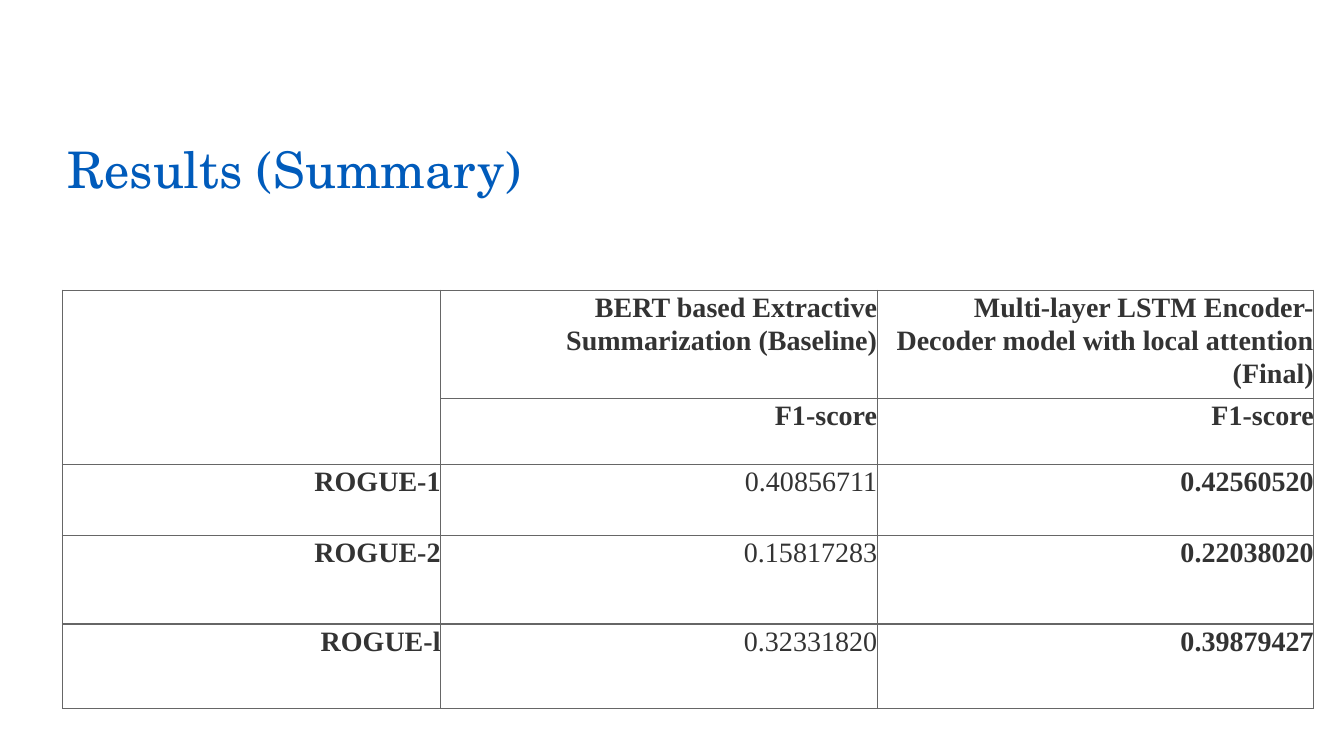
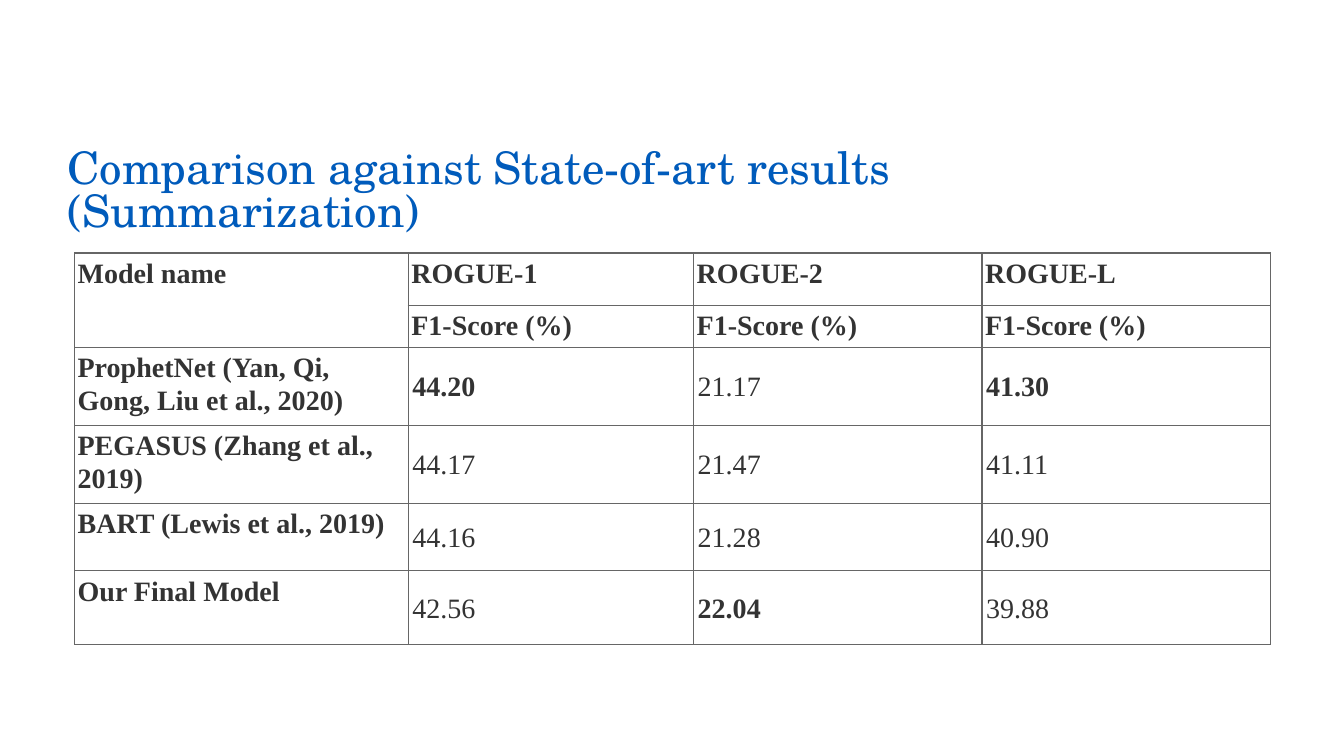
import pptx
import pptx.dml.color
import pptx.enum.text
import pptx.oxml
import pptx.oxml.ns
import pptx.util
from pptx.util import Inches

TITLE_BLUE = pptx.dml.color.RGBColor(0x00, 0x5B, 0xBB)
TEXT_GREY = pptx.dml.color.RGBColor(0x33, 0x33, 0x33)
BORDER_GREY = pptx.dml.color.RGBColor(0x66, 0x66, 0x66)
TITLE_FONT = "TeX Gyre Schola"
TABLE_FONT = "Times New Roman"
TITLE_BOX = (0.62, 1.44, 11.5, 0.78)
HEADER_ROWS = 2

ALIGN = pptx.enum.text.PP_ALIGN
ANCHOR = pptx.enum.text.MSO_ANCHOR

SUMMARY_ROWS = [
    ["", "BERT based Extractive Summarization (Baseline)",
     "Multi-layer LSTM Encoder-Decoder model with local attention (Final)"],
    ["", "F1-score", "F1-score"],
    ["ROGUE-1", "0.40856711", "0.42560520"],
    ["ROGUE-2", "0.15817283", "0.22038020"],
    ["ROGUE-l", "0.32331820", "0.39879427"],
]

COMPARISON_ROWS = [
    ["Model name", "ROGUE-1", "ROGUE-2", "ROGUE-L"],
    ["", "F1-Score (%)", "F1-Score (%)", "F1-Score (%)"],
    ["ProphetNet (Yan, Qi, Gong, Liu et al., 2020)", "44.20", "21.17", "41.30"],
    ["PEGASUS (Zhang et al., 2019)", "44.17", "21.47", "41.11"],
    ["BART (Lewis et al., 2019)", "44.16", "21.28", "40.90"],
    ["Our Final Model", "42.56", "22.04", "39.88"],
]


def add_run(paragraph, text, font_name, size, color, bold=False):
    run = paragraph.add_run()
    run.text = text
    run.font.name = font_name
    run.font.size = pptx.util.Pt(size)
    run.font.color.rgb = color
    run.font.bold = bold


def set_margins(holder, inches):
    """Give a text frame or table cell the same inset on every side."""
    holder.margin_left = holder.margin_right = Inches(inches)
    holder.margin_top = holder.margin_bottom = Inches(inches)


def add_title(slide, text, size):
    frame = slide.shapes.add_textbox(*map(Inches, TITLE_BOX)).text_frame
    frame.word_wrap = True
    set_margins(frame, 0.05)
    paragraph = frame.paragraphs[0]
    paragraph.line_spacing = 0.8
    add_run(paragraph, text, TITLE_FONT, size, TITLE_BLUE)


def outline_cell(cell):
    properties = cell._tc.get_or_add_tcPr()
    for side in ("lnL", "lnR", "lnT", "lnB"):
        properties.append(pptx.oxml.parse_xml(
            f'<a:{side} {pptx.oxml.ns.nsdecls("a")} w="{pptx.util.Pt(1)}">'
            f'<a:solidFill><a:srgbClr val="{BORDER_GREY}"/></a:solidFill>'
            f'</a:{side}>'))


def add_score_table(slide, box, rows, widths, heights, best, align,
                    label_margin, score_margin, score_anchor):
    """Draw a table with two header rows; only the best scores are bold."""
    table = slide.shapes.add_table(
        len(rows), len(widths), *map(Inches, box)).table
    table.first_row = table.horz_banding = False
    for column, width in zip(table.columns, widths):
        column.width = Inches(width)
    for row, height in zip(table.rows, heights):
        row.height = Inches(height)
    for r, texts in enumerate(rows):
        for c, text in enumerate(texts):
            is_score = r >= HEADER_ROWS and c > 0
            cell = table.cell(r, c)
            outline_cell(cell)
            cell.fill.background()
            set_margins(cell, score_margin if is_score else label_margin)
            cell.vertical_anchor = score_anchor if is_score else ANCHOR.TOP
            paragraph = cell.text_frame.paragraphs[0]
            paragraph.alignment = align
            paragraph.line_spacing = 1.07
            if text:
                add_run(paragraph, text, TABLE_FONT, 20, TEXT_GREY,
                        bold=not is_score or text in best)
    table.cell(0, 0).merge(table.cell(HEADER_ROWS - 1, 0))


def build_summary(slide):
    add_title(slide, "Results (Summary)", 36)
    best = {max(row[1:], key=float) for row in SUMMARY_ROWS[HEADER_ROWS:]}
    add_score_table(
        slide, (0.62, 2.88, 12.41, 4.06), SUMMARY_ROWS,
        widths=[3.75, 4.33, 4.33], heights=[0.98, 0.66, 0.7, 0.88, 0.84],
        best=best, align=ALIGN.RIGHT,
        label_margin=0, score_margin=0, score_anchor=ANCHOR.TOP)


def build_comparison(slide):
    add_title(slide, "Comparison against State-of-art results (Summarization)", 32)
    score_columns = list(zip(*COMPARISON_ROWS[HEADER_ROWS:]))[1:]
    best = {max(column, key=float) for column in score_columns}
    add_score_table(
        slide, (0.74, 2.51, 11.86, 3.72), COMPARISON_ROWS,
        widths=[3.31, 2.83, 2.86, 2.86],
        heights=[0.52, 0.38, 0.71, 0.71, 0.67, 0.73],
        best=best, align=ALIGN.LEFT,
        label_margin=0.03, score_margin=0.04, score_anchor=ANCHOR.MIDDLE)


def main():
    deck = pptx.Presentation()
    deck.slide_width = Inches(13.33)
    deck.slide_height = Inches(7.5)
    blank = deck.slide_layouts[6]
    for build in (build_summary, build_comparison):
        build(deck.slides.add_slide(blank))
    deck.save("out.pptx")


if __name__ == "__main__":
    main()
